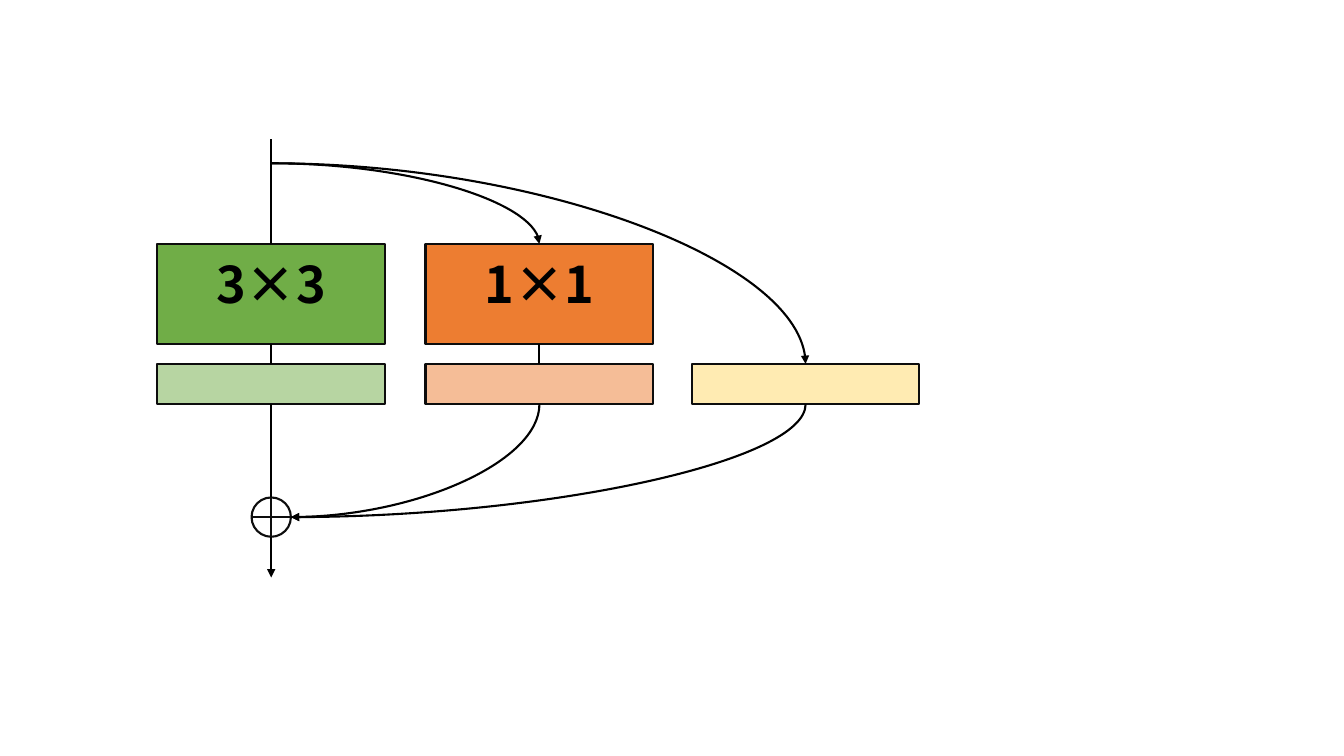
from lxml import etree
from pptx import Presentation, util as u
from pptx.dml.color import RGBColor
from pptx.enum import shapes, text
from pptx.oxml.ns import qn

# Content: one branch per column (label of the kernel block, colour, column centre)
BRANCHES = [("3×3", "70AD47", 2.69), ("1×1", "ED7D31", 5.35), (None, "FFD966", 7.99)]
FONT = "Noto Sans CJK SC"
BLACK, OUTLINE = "000000", "0D0D0D"

# Rows and sizes, in inches
BLOCK_W = 2.26
KERNEL_TOP, KERNEL_H, LABEL_INSET = 2.42, 0.99, 0.09
NORM_TOP, NORM_H = 3.61, 0.4
INPUT_TOP, SPLIT_Y, OUTPUT_Y = 1.38, 1.62, 5.73
SUM_Y, SUM_SIZE = 5.13, 0.39
TRUNK_X = BRANCHES[0][2]

deck = Presentation()
deck.slide_width, deck.slide_height = u.Inches(13.33), u.Inches(7.5)
page = deck.slides.add_slide(deck.slide_layouts[6])


def color(value):
    return RGBColor.from_string(value)


def add_block(kind, center_x, top, width, height, fill=None, alpha=None):
    box = page.shapes.add_shape(kind, u.Inches(center_x - width / 2), u.Inches(top),
                                u.Inches(width), u.Inches(height))
    box.shadow.inherit = False
    box.line.color.rgb, box.line.width = color(OUTLINE), u.Pt(1.5)
    if fill is None:
        box.fill.background()
    else:
        box.fill.solid()
        box.fill.fore_color.rgb = color(fill)
    if alpha:
        tone = box.fill._xPr.find(".//" + qn("a:srgbClr"))
        etree.SubElement(tone, qn("a:alpha")).set("val", str(alpha * 1000))
    return box


def add_label(box, label):
    frame = box.text_frame
    frame.text = label
    frame.vertical_anchor = text.MSO_ANCHOR.TOP
    frame.margin_top, frame.margin_bottom = u.Inches(LABEL_INSET), 0
    para = frame.paragraphs[0]
    para.alignment = text.PP_ALIGN.CENTER
    font = para.runs[0].font
    font.name, font.size, font.bold = FONT, u.Pt(36), True
    font.color.rgb = color(BLACK)
    fallback = etree.SubElement(font._element, qn("a:ea"))
    fallback.set("typeface", FONT)


def add_line(start, end, arrow=False, kind=shapes.MSO_CONNECTOR.STRAIGHT):
    line = page.shapes.add_connector(kind, *(u.Inches(v) for v in (*start, *end)))
    line.line.color.rgb, line.line.width = color(BLACK), u.Pt(1.5)
    if arrow:
        etree.SubElement(line.line._get_or_add_ln(), qn("a:tailEnd")).set("type", "triangle")
    etree.SubElement(line._element.spPr, qn("a:effectLst"))
    return line


def add_curve(start, end, turned=False):
    """Quarter curve: leaves sideways, or downwards when turned by 90 degrees."""
    if turned:
        mid_x, mid_y = (start[0] + end[0]) / 2, (start[1] + end[1]) / 2
        half_w, half_h = (end[1] - start[1]) / 2, (start[0] - end[0]) / 2
        start, end = (mid_x - half_w, mid_y - half_h), (mid_x + half_w, mid_y + half_h)
    curve = add_line(start, end, True, shapes.MSO_CONNECTOR.CURVE)
    properties = curve._element.spPr
    properties.find(qn("a:prstGeom")).set("prst", "curvedConnector2")
    if turned:
        properties.find(qn("a:xfrm")).set("rot", str(90 * 60000))


# Branch blocks, with a short link from kernel to normalisation
RECT = shapes.MSO_SHAPE.RECTANGLE
kernels, norms = [], []
for label, fill, center in BRANCHES:
    norm = add_block(RECT, center, NORM_TOP, BLOCK_W, NORM_H, fill, alpha=50)
    norms.append(norm)
    if label:
        kernel = add_block(RECT, center, KERNEL_TOP, BLOCK_W, KERNEL_H, fill)
        add_label(kernel, label)
        kernels.append(kernel)
        link = add_line((center, NORM_TOP), (center, KERNEL_TOP + KERNEL_H))
        link.begin_connect(norm, 0)
        link.end_connect(kernel, 2)

# Sum node and trunk
norm_bottom = NORM_TOP + NORM_H
sum_top, sum_bottom = SUM_Y - SUM_SIZE / 2, SUM_Y + SUM_SIZE / 2
add_block(shapes.MSO_SHAPE.FLOWCHART_OR, TRUNK_X, sum_top, SUM_SIZE, SUM_SIZE)
add_line((TRUNK_X, KERNEL_TOP), (TRUNK_X, INPUT_TOP)).begin_connect(kernels[0], 0)
add_line((TRUNK_X, norm_bottom), (TRUNK_X, sum_top)).begin_connect(norms[0], 2)
add_line((TRUNK_X, sum_bottom), (TRUNK_X, OUTPUT_Y), arrow=True)

# Side branches: out of the trunk and back into the sum
for label, fill, center in BRANCHES[1:]:
    add_curve((TRUNK_X, SPLIT_Y), (center, KERNEL_TOP if label else NORM_TOP))
    add_curve((center, norm_bottom), (TRUNK_X + SUM_SIZE / 2, SUM_Y), turned=True)

deck.save("out.pptx")
